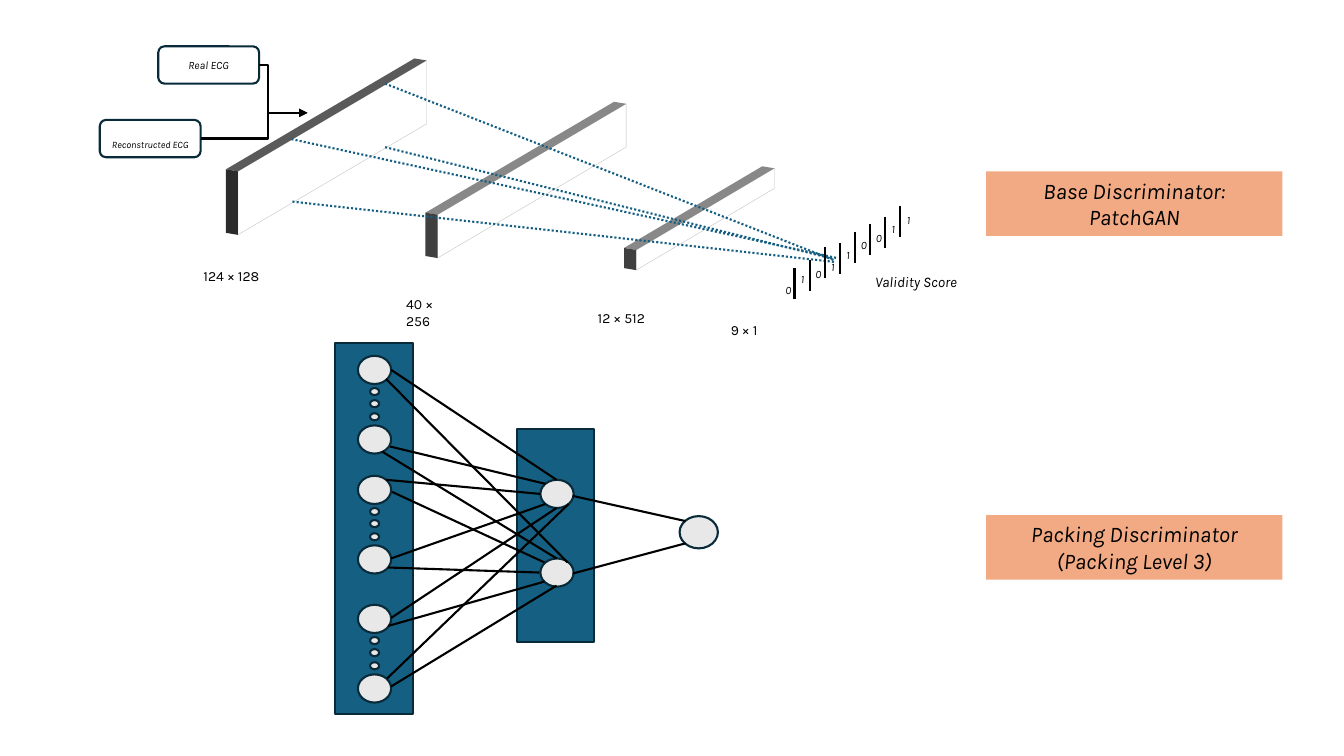
from lxml import etree
from pptx import Presentation
from pptx.dml.color import RGBColor
from pptx.enum.dml import MSO_LINE
from pptx.enum.shapes import MSO_CONNECTOR, MSO_SHAPE
from pptx.enum.text import MSO_ANCHOR, PP_ALIGN
from pptx.oxml.ns import qn
from pptx.util import Inches, Pt

BLACK = RGBColor(0x00, 0x00, 0x00)
WHITE = RGBColor(0xFF, 0xFF, 0xFF)
NAVY = RGBColor(0x09, 0x2A, 0x39)
TEAL = RGBColor(0x15, 0x60, 0x82)
PALE = RGBColor(0xE8, 0xE8, 0xE8)
PEACH = RGBColor(0xF2, 0xAA, 0x84)
EDGE = RGBColor(0xBF, 0xBF, 0xBF)
DARK = RGBColor(0x5A, 0x5A, 0x5A)
DARK_END = RGBColor(0x2B, 0x2B, 0x2B)
GREY = RGBColor(0x88, 0x88, 0x88)
GREY_END = RGBColor(0x40, 0x40, 0x40)

FONT = "Karla"
LEFT, CENTER = PP_ALIGN.LEFT, PP_ALIGN.CENTER
MIDDLE = MSO_ANCHOR.MIDDLE
RECT, ROUND = MSO_SHAPE.RECTANGLE, MSO_SHAPE.ROUNDED_RECTANGLE
NODE = MSO_SHAPE.FLOWCHART_CONNECTOR
STRAIGHT, ELBOW = MSO_CONNECTOR.STRAIGHT, MSO_CONNECTOR.ELBOW
DOTTED = MSO_LINE.ROUND_DOT
RIGHT_SIDE = 3

# Slab: left, top, run, rise, height, top colour, end colour
SLABS = [
    (0, 0, 1.87, 1.1, 0.63, DARK, DARK_END),
    (1.98, 0.43, 1.87, 1.1, 0.43, GREY, GREY_END),
    (3.95, 0.78, 1.37, 0.81, 0.2, GREY, GREY_END),
]
SIZES = [
    ("124 × 128", -0.32, 0.92, 1),
    ("40 × 256", 1.69, 1.2, 0.6),
    ("12 × 512", 3.59, 1.34, 1),
]
RAYS = [
    (0.65, -0.3, 6.06, 0.88), (1.58, -0.85, 6.03, 0.9),
    (0.66, 0.32, 6.05, 0.92), (1.58, -0.22, 6.03, 0.89),
]
BITS = "010110011"
BIT_TOPS = [0.72, 0.61, 0.56, 0.49, 0.37, 0.28, 0.21, 0.12, 0.03]
BAR_TOPS = [0.62, 0.54, 0.41, 0.37, 0.26, 0.18, 0.11, 0]
LINKS = [
    (0.56, 0.27, 2.2, 1.36), (0.51, 1.36, 2.04, 1.5),
    (0.55, 1.03, 2.09, 1.4), (0.56, 2.14, 2.09, 1.6),
    (0.56, 2.73, 2.2, 1.64), (0.52, 3.33, 2.32, 1.6),
    (0.56, 3.41, 2.2, 2.41), (0.53, 2.81, 2.08, 2.37),
    (0.53, 2.23, 2.03, 2.28), (0.57, 1.48, 2.08, 2.18),
    (0.47, 1.08, 2.2, 2.14), (0.51, 0.36, 2.31, 2.18),
    (2.36, 1.52, 3.48, 1.77), (2.36, 2.29, 3.48, 1.99),
]


def paint(shape, fill, line=None, width=1.5):
    shape.shadow.inherit = False
    shape.fill.solid()
    shape.fill.fore_color.rgb = fill
    if line is None:
        shape.line.fill.background()
    else:
        shape.line.color.rgb = line
        shape.line.width = Pt(width)


def block(shapes, kind, x, y, w, h, fill, line=None):
    shape = shapes.add_shape(kind, Inches(x), Inches(y), Inches(w), Inches(h))
    paint(shape, fill, line)
    return shape


def write(shape, text, size, italic=True, align=CENTER):
    frame = shape.text_frame
    frame.word_wrap = True
    frame.text = text
    para = frame.paragraphs[0]
    para.alignment = align
    font = para.runs[0].font
    font.name, font.size, font.italic = FONT, Pt(size), italic
    font.color.rgb = BLACK


def label(shapes, text, x, y, w, h, size, italic=True, align=CENTER):
    box = shapes.add_textbox(Inches(x), Inches(y), Inches(w), Inches(h))
    write(box, text, size, italic, align)


def link(shapes, x1, y1, x2, y2, color=BLACK, kind=STRAIGHT):
    line = shapes.add_connector(kind, Inches(x1), Inches(y1), Inches(x2), Inches(y2))
    line.line.color.rgb = color
    line.line.width = Pt(1.5)
    etree.SubElement(line._element.spPr, qn("a:effectLst"))
    return line


def face(shapes, points, fill, line=None):
    spots = [(Inches(x), Inches(y)) for x, y in points]
    builder = shapes.build_freeform(*spots[0])
    builder.add_line_segments(spots[1:])
    paint(builder.convert_to_shape(), fill, line, 0.25)


def inputs(shapes, x, y):
    """Two signal boxes whose elbow arrows merge at one tip."""
    tip_x, tip_y, bend = x + 2.06, y + 0.66, x + 1.67
    signals = [("Real ECG", 0.58, 0, 8, 0.05), ("Reconstructed ECG", 0, 0.73, 7, 0.11)]
    for text, dx, dy, size, inset in signals:
        box = block(shapes, ROUND, x + dx, y + dy, 1, 0.37, WHITE, NAVY)
        write(box, text, size)
        frame = box.text_frame
        frame.vertical_anchor = MIDDLE
        frame.margin_top = Inches(inset)
        frame.margin_bottom = 0 if inset > 0.1 else Inches(inset)
        start = x + dx + 1
        arrow = link(shapes, start, y + dy + 0.18, tip_x, tip_y, kind=ELBOW)
        arrow.begin_connect(box, RIGHT_SIDE)
        guides = arrow._element.spPr.find(qn("a:prstGeom")).get_or_add_avLst()
        ratio = round((bend - start) / (tip_x - start) * 100000)
        etree.SubElement(guides, qn("a:gd"), name="adj1", fmla=f"val {ratio}")
        etree.SubElement(arrow.line._get_or_add_ln(), qn("a:tailEnd"), type="triangle")


def slab(shapes, x, y, run, rise, high, top, end):
    """Slanted block: its end's top left corner is at x, y."""
    dx, dy = 0.12, 0.02
    near, far = (x + dx, y + dy), (x + dx + run, y + dy - rise)
    foot = (near[0], near[1] + high)
    face(shapes, [near, far, (far[0], far[1] + high), foot, near], WHITE, EDGE)
    face(shapes, [(x, y), (x + run, y - rise), far, near, (x, y)], top)
    face(shapes, [(x, y), near, foot, (x, y + high), (x, y)], end)


def layers(shapes, x, y):
    for dx, dy, *form in SLABS:
        slab(shapes, x + dx, y + dy, *form)
    for x1, y1, x2, y2 in RAYS:
        ray = link(shapes, x + x1, y + y1, x + x2, y + y2, TEAL)
        ray.line.dash_style = DOTTED
    for text, dx, dy, w in SIZES:
        label(shapes, text, x + dx, y + dy, w, 0.27, 10, False, LEFT)


def score(shapes, x, y):
    """Row of validity bits with a bar between neighbours."""
    step = 0.15
    for i, top in enumerate(BAR_TOPS):
        bar = x + 0.19 + i * step
        link(shapes, bar, y + top, bar, y + top + 0.31)
    for i, (bit, top) in enumerate(zip(BITS, BIT_TOPS)):
        label(shapes, bit, x + i * step, y + top, 0.24, 0.24, 8)
    label(shapes, "9 × 1", x - 0.54, y + 1.1, 0.7, 0.27, 10, False, LEFT)
    label(shapes, "Validity Score", x + 0.7, y + 0.62, 1.39, 0.29, 10.5)


def network(shapes, x, y):
    def node(dx, dy, w=0.33, h=0.28):
        block(shapes, NODE, x + dx, y + dy, w, h, PALE, NAVY)

    block(shapes, RECT, x, y, 0.78, 3.68, TEAL, NAVY)
    for top in (0.13, 1.32, 2.6):
        node(0.23, top)
        for gap in (0.32, 0.44, 0.57):
            node(0.35, top + gap, 0.09, 0.07)
        node(0.23, top + 0.69)
    block(shapes, RECT, x + 1.81, y + 0.86, 0.76, 2.11, TEAL, NAVY)
    for top in (1.36, 2.14):
        node(2.04, top)
    node(3.42, 1.72, 0.38, 0.32)
    for x1, y1, x2, y2 in LINKS:
        link(shapes, x + x1, y + y1, x + x2, y + y2)


def caption(shapes, text, x, y):
    box = block(shapes, RECT, x, y, 2.94, 0.64, PEACH)
    write(box, text, 16)
    box.text_frame.vertical_anchor = MIDDLE


def main():
    deck = Presentation()
    deck.slide_width, deck.slide_height = Inches(13.33), Inches(7.5)
    shapes = deck.slides.add_slide(deck.slide_layouts[6]).shapes
    network(shapes, 3.32, 3.4)
    layers(shapes, 2.24, 1.68)
    score(shapes, 7.69, 2.04)
    inputs(shapes, 0.99, 0.46)
    caption(shapes, "Base Discriminator: PatchGAN", 9.78, 1.7)
    caption(shapes, "Packing Discriminator (Packing Level 3)", 9.78, 5.11)
    deck.save("out.pptx")


if __name__ == "__main__":
    main()
